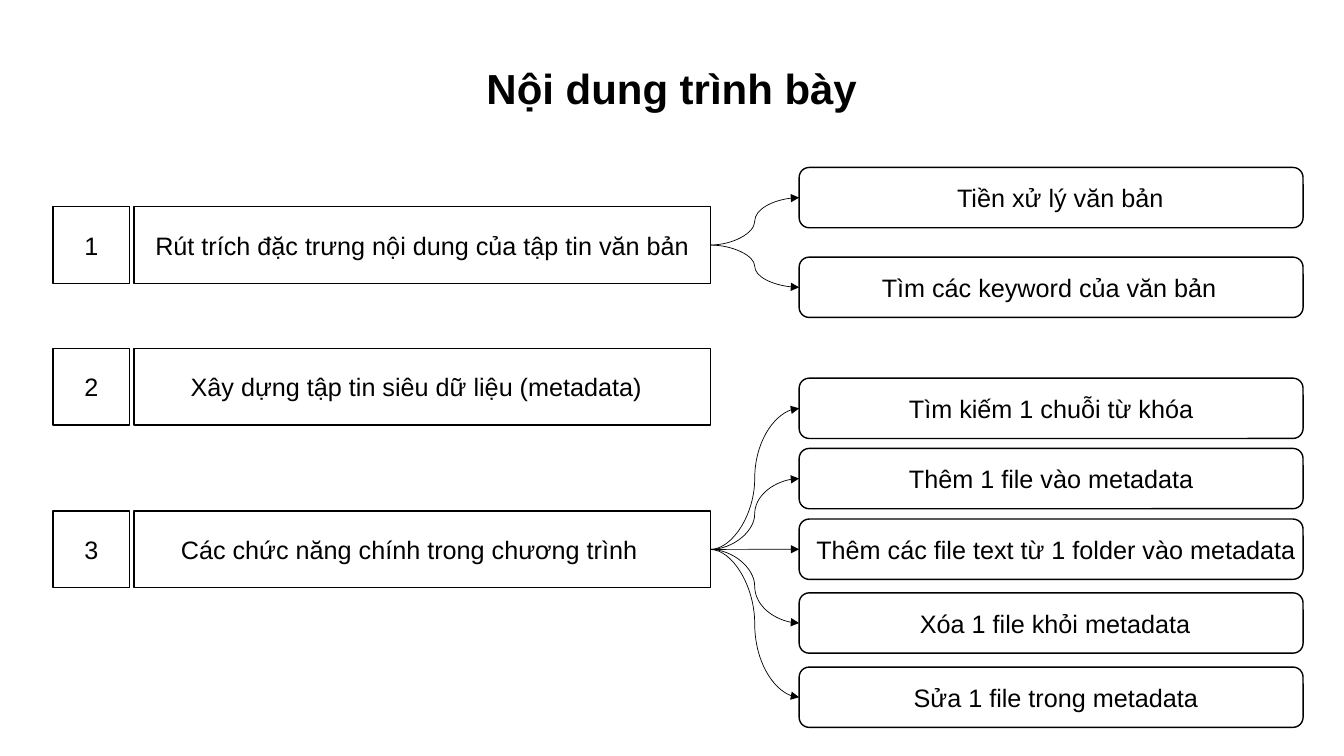
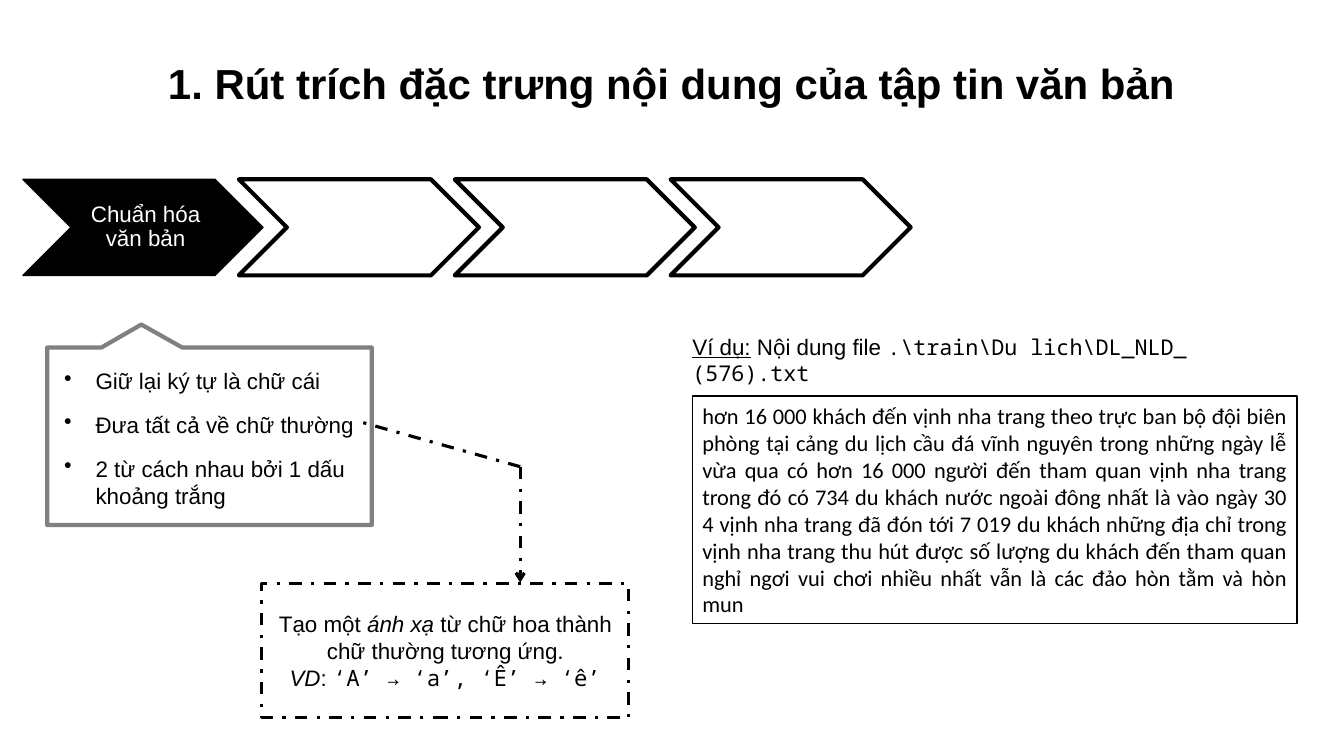
from lxml.etree import SubElement
from pptx import Presentation
from pptx.dml.color import RGBColor
from pptx.enum.dml import MSO_LINE
from pptx.enum.shapes import MSO_CONNECTOR as CONNECTOR, MSO_SHAPE as SHAPE
from pptx.enum.text import MSO_ANCHOR as ANCHOR, PP_ALIGN as ALIGN
from pptx.oxml.ns import qn
from pptx.util import Cm, Pt

SLIDE_WIDTH, SLIDE_HEIGHT = 33.87, 19.05
BLACK, WHITE, GRAY = "000000", "FFFFFF", "808080"
SANS, MONO = "Arial", "Noto Sans Mono"
RIGHT_SITE, LEFT_SITE = 3, 1

# Each section: top, label, shift of the label from the centre, subtopics.
# Each subtopic: top, text, shift.
SECTIONS = [
    (5.21, "Rút trích đặc trưng nội dung của tập tin văn bản", 0, [
        (4.22, "Tiền xử lý văn bản", 0.23),
        (6.48, "Tìm các keyword của văn bản", -0.05),
    ]),
    (8.78, "Xây dựng tập tin siêu dữ liệu (metadata)", -0.15, []),
    (12.88, "Các chức năng chính trong chương trình", -0.33, [
        (9.53, "Tìm kiếm 1 chuỗi từ khóa", 0),
        (11.3, "Thêm 1 file vào metadata", 0),
        (13.08, "Thêm các file text từ 1 folder vào metadata", 0.12),
        (14.94, "Xóa 1 file khỏi metadata", 0.1),
        (16.81, "Sửa 1 file trong metadata", 0.12),
    ]),
]

RULES = [
    "Giữ lại ký tự là chữ cái",
    "Đưa tất cả về chữ thường",
    "2 từ cách nhau bởi 1 dấu khoảng trắng",
]

MAPPING = [
    [("Tạo một ", {}), ("ánh xạ ", {"italic": True}),
     ("từ chữ hoa thành chữ thường tương ứng.", {})],
    [("VD", {"italic": True}), (": ", {}),
     ("‘A’ → ‘a’, ‘Ê’ → ‘ê’", {"name": MONO})],
]

EXAMPLE_CAPTION = [
    ("Ví dụ:", {"underline": True}),
    (" Nội dung file ", {}),
    (r".\train\Du lich\DL_NLD_ (576).txt", {"name": MONO, "size": Pt(15.5)}),
]

EXAMPLE = (
    "hơn 16 000 khách đến vịnh nha trang theo trực ban bộ đội biên phòng "
    "tại cảng du lịch cầu đá vĩnh nguyên trong những ngày lễ vừa qua có hơn "
    "16 000 người đến tham quan vịnh nha trang trong đó có 734 du khách nước "
    "ngoài đông nhất là vào ngày 30 4 vịnh nha trang đã đón tới 7 019 du khách "
    "những địa chỉ trong vịnh nha trang thu hút được số lượng du khách đến "
    "tham quan nghỉ ngơi vui chơi nhiều nhất vẫn là các đảo hòn tằm và hòn mun"
)


def rgb(color):
    return RGBColor.from_string(color)


def write(shape, paragraphs, size=16, font=SANS, color=BLACK, bold=False,
          align=ALIGN.CENTER, anchor=ANCHOR.MIDDLE, margins=(0.25, 0.13, 0.25, 0.13)):
    """Fill a shape with paragraphs, each a string or a list of (text, font changes)."""
    frame = shape.text_frame
    frame.word_wrap = True
    frame.vertical_anchor = anchor
    (frame.margin_left, frame.margin_top,
     frame.margin_right, frame.margin_bottom) = map(Cm, margins)
    for index, content in enumerate(paragraphs):
        paragraph = frame.add_paragraph() if index else frame.paragraphs[0]
        paragraph.alignment = align
        paragraph.font.name = font
        paragraph.font.size = Pt(size)
        paragraph.font.bold = bold
        paragraph.font.color.rgb = rgb(color)
        runs = [(content, {})] if isinstance(content, str) else content
        for text, changes in runs:
            run = paragraph.add_run()
            run.text = text
            for name, value in changes.items():
                setattr(run.font, name, value)
    return frame


def add_box(slide, kind, left, top, width, height, fill=WHITE, line=BLACK,
            weight=1, dash=None):
    shape = slide.shapes.add_shape(kind, Cm(left), Cm(top), Cm(width), Cm(height))
    shape.shadow.inherit = False
    shape.fill.solid()
    shape.fill.fore_color.rgb = rgb(fill)
    shape.line.color.rgb = rgb(line)
    shape.line.width = Pt(weight)
    if dash:
        shape.line.dash_style = dash
    return shape


def add_label(slide, kind, left, top, width, height, text, shift=0):
    """Add an 18 pt box whose text is centred, then moved sideways by shift."""
    shape = add_box(slide, kind, left, top, width, height)
    write(shape, [text], 18,
          margins=(2 * max(shift, 0), 0, 2 * max(-shift, 0), 0))
    return shape


def add_line(slide, kind, start=(0, 0), end=(0, 0), weight=0.5, dash=None, arrow=None):
    line = slide.shapes.add_connector(kind, *map(Cm, start + end))
    line.line.color.rgb = rgb(BLACK)
    line.line.width = Pt(weight)
    if dash:
        line.line.dash_style = dash
    properties = line.element.spPr
    if arrow:
        SubElement(properties.find(qn("a:ln")), qn("a:tailEnd"), type=arrow)
    SubElement(properties, qn("a:effectLst"))
    return line


def add_bullet(paragraph, indent):
    properties = paragraph._p.get_or_add_pPr()
    properties.set("marL", str(Cm(indent)))
    properties.set("indent", str(-Cm(indent)))
    paragraph.space_before = paragraph.space_after = Pt(6)
    bullet = properties.makeelement(qn("a:buChar"), {"char": "•"})
    properties.find(qn("a:defRPr")).addprevious(bullet)


def add_text(slide, left, top, width, height, paragraphs, **style):
    box = slide.shapes.add_textbox(Cm(left), Cm(top), Cm(width), Cm(height))
    write(box, paragraphs, anchor=ANCHOR.TOP, **style)


def add_titled_slide(presentation, title, top):
    slide = presentation.slides.add_slide(presentation.slide_layouts[6])
    add_text(slide, 0, top, SLIDE_WIDTH, 1.54, [title], size=30, bold=True)
    return slide


def build_agenda(presentation):
    slide = add_titled_slide(presentation, "Nội dung trình bày", 1.45)
    for number, (top, label, shift, subtopics) in enumerate(SECTIONS, 1):
        add_label(slide, SHAPE.RECTANGLE, 1.34, top, 1.93, 1.93, str(number))
        section = add_label(slide, SHAPE.RECTANGLE, 3.38, top, 14.52, 1.93, label, shift)
        for sub_top, text, sub_shift in subtopics:
            subtopic = add_label(slide, SHAPE.ROUNDED_RECTANGLE,
                                 20.14, sub_top, 12.7, 1.52, text, sub_shift)
            curve = add_line(slide, CONNECTOR.CURVE, arrow="triangle")
            curve.begin_connect(section, RIGHT_SITE)
            curve.end_connect(subtopic, LEFT_SITE)


def add_steps(slide, active_text, count):
    """Add a row of chevrons, the first one filled and named."""
    for index in range(count):
        active = index == 0
        chevron = add_box(slide, SHAPE.CHEVRON, 0.58 + 5.44 * index, 4.52, 6.05, 2.42,
                          fill=BLACK if active else WHITE, weight=1 if active else 3)
        if active:
            frame = write(chevron, [active_text], color=WHITE,
                          margins=(0.18, 0.05, 0.05, 0.05))
            frame.paragraphs[0].line_spacing = 0.9


def add_rules(slide):
    callout = add_box(slide, SHAPE.RECTANGULAR_CALLOUT, 1.19, 8.76, 8.18, 4.47,
                      line=GRAY, weight=3)
    callout.adjustments[0] = -0.21
    callout.adjustments[1] = -0.63
    frame = write(callout, RULES, align=ALIGN.LEFT, anchor=ANCHOR.TOP,
                  margins=(0.43, 0.5, 0.25, 0))
    for paragraph in frame.paragraphs:
        add_bullet(paragraph, 0.79)


def add_mapping(slide):
    style = {"weight": 2.25, "dash": MSO_LINE.DASH_DOT}
    box = add_box(slide, SHAPE.RECTANGLE, 6.6, 14.71, 9.25, 3.38, **style)
    write(box, MAPPING)
    corner = (13.11, 11.76)
    add_line(slide, CONNECTOR.STRAIGHT, corner, (13.11, 14.68), arrow="arrow", **style)
    add_line(slide, CONNECTOR.STRAIGHT, corner, (9.04, 10.62), **style)


def build_extraction(presentation):
    slide = add_titled_slide(
        presentation, "1. Rút trích đặc trưng nội dung của tập tin văn bản", 1.32)
    add_steps(slide, "Chuẩn hóa văn bản", 4)
    add_text(slide, 17.2, 8.26, 15.47, 1.6, [EXAMPLE_CAPTION], align=ALIGN.LEFT)
    example = add_box(slide, SHAPE.RECTANGLE, 17.45, 9.98, 15.24, 5.74)
    write(example, [EXAMPLE], font="Calibri", align=ALIGN.JUSTIFY)
    add_rules(slide)
    add_mapping(slide)


def main():
    presentation = Presentation()
    presentation.slide_width = Cm(SLIDE_WIDTH)
    presentation.slide_height = Cm(SLIDE_HEIGHT)
    build_agenda(presentation)
    build_extraction(presentation)
    presentation.save("out.pptx")


if __name__ == "__main__":
    main()
